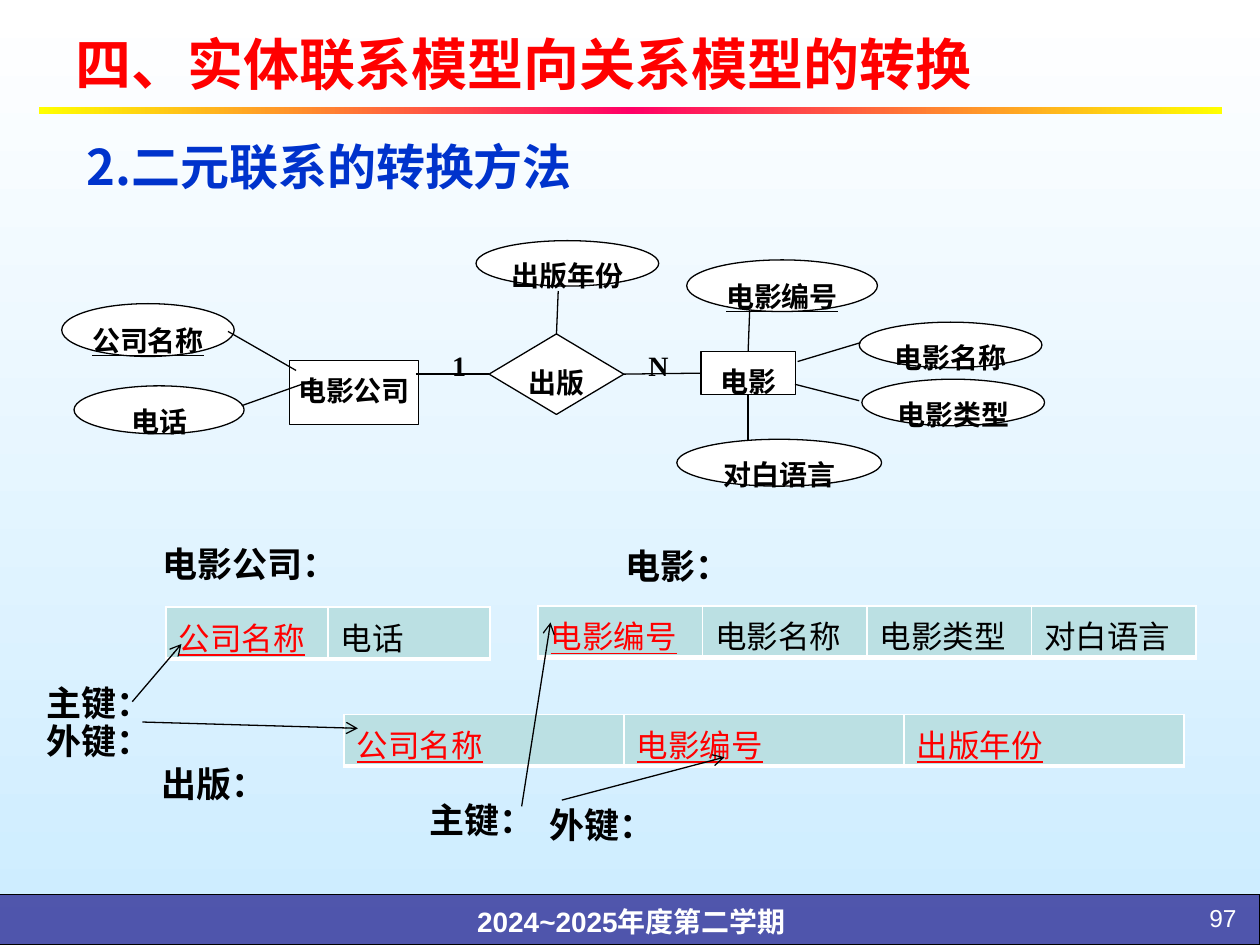
from lxml import etree
from pptx import Presentation, util as u
from pptx.dml.color import RGBColor
from pptx.enum import lang, shapes, text
from pptx.oxml import ns

SHAPE = shapes.MSO_SHAPE
ALIGN = text.PP_ALIGN
BLACK, WHITE, RED = "000000", "FFFFFF", "FF0000"
SANS, SERIF, CHINESE = "Arial", "Times New Roman", "Noto Sans CJK SC"
TOP, LEFT, BOTTOM, RIGHT = range(4)


def color(value):
    return RGBColor.from_string(value)


def child(parent, tag, **attributes):
    return etree.SubElement(parent, ns.qn(tag), **attributes)


class Slide:
    line_width = 0.75
    cell_fill = "BBE0E3"

    def __init__(self, page):
        self.page = page

    def gradient(self, fill, owner, stops, angle):
        fill.gradient()
        fill.gradient_angle = angle
        stop_list = owner.find(".//" + ns.qn("a:gsLst"))
        for stop in list(stop_list):
            stop_list.remove(stop)
        for position, value in stops:
            stop = child(stop_list, "a:gs", pos=str(position * 1000))
            child(stop, "a:srgbClr", val=value)

    def add_words(self, frame, words, size, font=SERIF, ink=BLACK, bold=True,
                  underline=False, align=ALIGN.LEFT, spacing=None):
        frame.word_wrap = True
        para = frame.paragraphs[0]
        para.alignment = align
        if spacing:
            para.line_spacing = spacing
        span = para.add_run()
        span.text = words
        style = span.font
        style.size, style.bold, style.underline = u.Pt(size), bold, underline
        style.name = font
        style.color.rgb = color(ink)
        style.language_id = lang.MSO_LANGUAGE_ID.SIMPLIFIED_CHINESE
        child(style._element, "a:ea", typeface=CHINESE)

    def margins(self, frame, top=0, bottom=0):
        frame.margin_left = frame.margin_right = 0
        frame.margin_top, frame.margin_bottom = u.Pt(top), u.Pt(bottom)

    def label(self, words, place, size, tight=False, anchor=text.MSO_ANCHOR.TOP, **style):
        box = self.page.shapes.add_textbox(*map(u.Pt, place))
        box.text_frame.vertical_anchor = anchor
        if tight:
            self.margins(box.text_frame)
        self.add_words(box.text_frame, words, size, **style)

    def shape(self, kind, place, fill=WHITE, line=BLACK):
        box = self.page.shapes.add_shape(kind, *map(u.Pt, place))
        box.shadow.inherit = False
        box.fill.solid()
        box.fill.fore_color.rgb = color(fill)
        if line:
            box.line.color.rgb = color(line)
            box.line.width = u.Pt(self.line_width)
        else:
            box.line.fill.background()
        return box

    def node(self, kind, words, place, underline=False):
        box = self.shape(kind, place)
        frame = box.text_frame
        frame.vertical_anchor = text.MSO_ANCHOR.TOP
        if kind == SHAPE.RECTANGLE:
            self.margins(frame, 0.7, 3.6)
        else:
            self.margins(frame)
        self.add_words(frame, words, 16, underline=underline,
                       align=ALIGN.CENTER, spacing=1.35)
        return box

    def line(self, start, end, begin=None, finish=None, arrow=False):
        link = self.page.shapes.add_connector(
            shapes.MSO_CONNECTOR.STRAIGHT, *map(u.Pt, start + end))
        if begin:
            link.begin_connect(*begin)
        if finish:
            link.end_connect(*finish)
        link.line.color.rgb = color(BLACK)
        link.line.width = u.Pt(self.line_width)
        props = link.element.find(ns.qn("p:spPr"))
        if arrow:
            child(props.find(ns.qn("a:ln")), "a:tailEnd", type="arrow")
        child(props, "a:effectLst")

    def table(self, place, names, key_count):
        grid = self.page.shapes.add_table(1, len(names), *map(u.Pt, place)).table
        grid.first_row = grid.horz_banding = False
        for column, name in enumerate(names):
            cell = grid.cell(0, column)
            is_key = column < key_count
            self.add_words(cell.text_frame, name, 18, SANS, RED if is_key else BLACK,
                           bold=False, underline=is_key)
            props = cell._tc.get_or_add_tcPr()
            for side, width in (("L", 1), ("R", 1), ("T", 1), ("B", 3)):
                border = child(props, "a:ln" + side, w=str(int(u.Pt(width))))
                child(child(border, "a:solidFill"), "a:srgbClr", val=WHITE)
            cell.fill.solid()
            cell.fill.fore_color.rgb = color(self.cell_fill)


def main():
    deck = Presentation()
    deck.slide_width, deck.slide_height = u.Pt(720), u.Pt(540)
    page = deck.slides.add_slide(deck.slide_layouts[6])
    slide = Slide(page)

    # Background, footer and rule under the title
    slide.gradient(page.background.fill, page.element, [(0, WHITE), (100, "CCECFF")], 270)
    footer = slide.shape(SHAPE.RECTANGLE, (-0.5, 511.2, 720.5, 28.8), "333399")
    tint = footer.element.find(".//" + ns.qn("a:srgbClr"))
    child(tint, "a:alpha", val="81000")
    slide.label("2024~2025年度第二学期", (193.7, 509.8, 334, 30), 16, font=SANS,
                ink=WHITE, align=ALIGN.CENTER, spacing=1.2)
    rule = slide.shape(SHAPE.RECTANGLE, (22.3, 61.2, 676, 4), line=None)
    slide.gradient(rule.fill, rule.element,
                   [(0, "FFFF00"), (50, "FF0066"), (100, "FFFF00")], 0)
    slide.label("97", (643.7, 512.6, 70, 21.6), 14, font=SANS, ink=WHITE,
                bold=False, align=ALIGN.RIGHT)

    # Headings
    slide.label("四、实体联系模型向关系模型的转换", (36, 8.6, 648, 54.7), 32,
                font=SANS, ink=RED, anchor=text.MSO_ANCHOR.MIDDLE)
    slide.label("2.二元联系的转换方法", (42.5, 62.6, 659.5, 53.3), 28,
                font=CHINESE, ink="0033CC", spacing=1.35)

    # Entities and relationship
    slide.node(SHAPE.RECTANGLE, "电影公司", (165.6, 205.9, 73.4, 36.7))
    movie = slide.node(SHAPE.RECTANGLE, "电影", (400.5, 201, 54, 24.5))
    publish = slide.node(SHAPE.FLOWCHART_DECISION, "出版", (279.5, 190.8, 77, 46))
    for mark, left in (("1", 246.2), ("N", 360)):
        slide.label(mark, (left, 192.6, 32.4, 17.3), 16, tight=True,
                    align=ALIGN.CENTER, spacing=1.35)

    # Attributes
    for name, place, is_key in (
        ("公司名称", (35.3, 173.5, 98.6, 30.2), True),
        ("电话", (42.3, 220.5, 97.2, 27.4), False),
        ("电影编号", (392.4, 148.5, 109, 29.5), True),
        ("电影名称", (491, 184.1, 104.4, 26), False),
        ("电影类型", (492.5, 216.7, 104.4, 26.6), False),
        ("对白语言", (386.8, 251, 117, 26.8), False),
        ("出版年份", (272, 137.5, 104.4, 26), False),
    ):
        slide.node(SHAPE.OVAL, name, place, is_key)

    # Links of the diagram
    for start, end, begin, finish in (
        ((130.3, 189.4), (169.2, 211.7), None, None),
        ((138.2, 231.8), (180.7, 216.7), None, None),
        ((237.6, 213.8), (279.5, 213.8), None, (publish, LEFT)),
        ((356.5, 213.8), (400.5, 213.8), (publish, RIGHT), (movie, LEFT)),
        ((427.5, 201), (428.4, 177.1), (movie, TOP), None),
        ((455.8, 206.6), (491.8, 195.8), None, None),
        ((454.3, 219.6), (491, 229), None, None),
        ((427.5, 225.5), (427.5, 251.5), (movie, BOTTOM), None),
        ((318, 190.8), (319, 166.3), (publish, TOP), None),
    ):
        slide.line(start, end, begin, finish)

    # Relation tables
    slide.table((95, 347, 185, 29.5), ["公司名称", "电话"], 1)
    slide.table((307.4, 346.3, 376, 29.5),
                ["电影编号", "电影名称", "电影类型", "对白语言"], 1)
    slide.table((196.6, 408.2, 480, 29.5), ["公司名称", "电影编号", "出版年份"], 3)

    # Relation names and key labels
    for words, left, top, width in (
        ("电影公司：", 85.7, 303.1, 233),
        ("电影：", 350.6, 303.8, 233),
        ("出版：", 85, 428.4, 233),
        ("主键：", 19.4, 382.3, 97),
        ("外键：", 19.4, 403.9, 97),
        ("主键：", 238.3, 449.3, 97),
        ("外键：", 306.7, 452.2, 97),
    ):
        slide.label(words, (left, top, width, 32.4), 20,
                    align=ALIGN.JUSTIFY, spacing=1.15)

    # Arrows from the key labels
    for start, end in (
        ((75.6, 401), (103.7, 368)),
        ((81.4, 412.6), (204.5, 416.2)),
        ((298.1, 460.8), (314.6, 355.7)),
        ((321.1, 457.2), (414, 432.7)),
    ):
        slide.line(start, end, arrow=True)

    deck.save("out.pptx")


if __name__ == "__main__":
    main()
